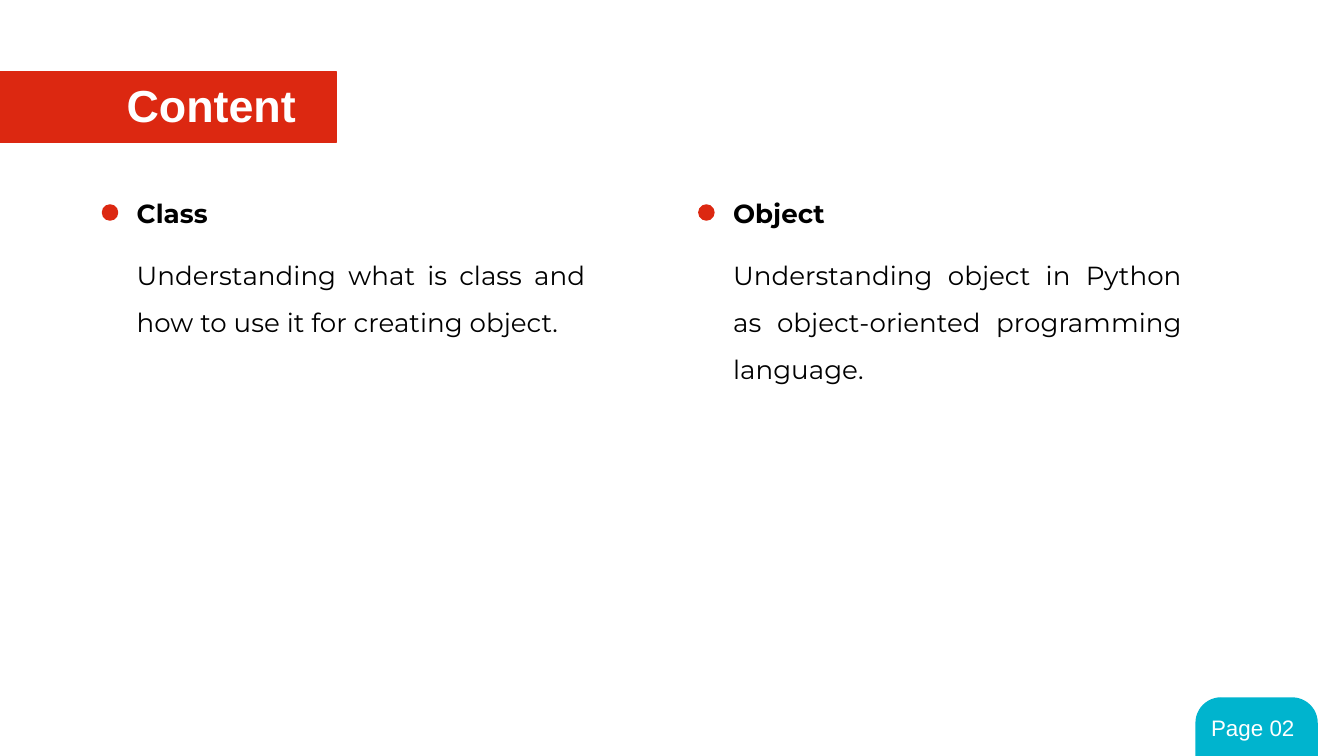
"""Build the content slide with two topics and a page tab."""
import pptx
import pptx.dml.color
import pptx.enum.shapes
import pptx.enum.text
import pptx.util

PX = 5715
SHAPE = pptx.enum.shapes.MSO_SHAPE
ALIGN = pptx.enum.text.PP_ALIGN
RGB = pptx.dml.color.RGBColor.from_string
THEME = {
    "red": RGB("DC2811"),
    "teal": RGB("00B4CE"),
    "white": RGB("FFFFFF"),
    "black": RGB("000000"),
    "display": "Arial",
    "body": "Montserrat",
    "title_size": pptx.util.Pt(24),
    "topic_size": pptx.util.Pt(14),
    "page_size": pptx.util.Pt(12),
    "outline": pptx.util.Pt(0.75),
}

deck = pptx.Presentation()
deck.slide_width, deck.slide_height = 1600 * PX, 900 * PX
slide = deck.slides.add_slide(deck.slide_layouts[6])


def add_block(preset, box, color):
    block = slide.shapes.add_shape(preset, *(PX * side for side in box))
    block.shadow.inherit = False
    block.fill.solid()
    block.fill.fore_color.rgb = block.line.color.rgb = THEME[color]
    block.line.width = THEME["outline"]
    return block


def add_words(words, box, font, size, color, bold=False, **layout):
    frame = slide.shapes.add_textbox(*(PX * side for side in box)).text_frame
    frame.word_wrap = True
    frame.auto_size = pptx.enum.text.MSO_AUTO_SIZE.SHAPE_TO_FIT_TEXT
    for side in ("left", "top", "right", "bottom"):
        setattr(frame, f"margin_{side}", 16 * PX)
    paragraph = frame.paragraphs[0]
    for name, value in layout.items():
        setattr(paragraph, name, value)
    run = paragraph.add_run()
    run.text = words
    style = {"name": THEME[font], "size": THEME[size], "bold": bold}
    for name, value in style.items():
        setattr(run.font, name, value)
    run.font.color.rgb = THEME[color]


add_block(SHAPE.RECTANGLE, (-5, 85, 405, 85), "red")
page_tab = add_block(SHAPE.ROUND_2_SAME_RECTANGLE, (1424, 831, 144, 69), "teal")
page_tab.adjustments[0] = 0.43
add_words("Page 02", (1426, 834, 170, 64), "display", "page_size", "white")
add_words("Content", (135, 77, 272, 98), "display", "title_size", "white", bold=True)

topics = [
    ("Class", 227, "Understanding what is class and how to use it for creating object.", 126),
    ("Object", 251, "Understanding object in Python as object-oriented programming language.", 182),
]
for column, (topic, topic_width, summary, summary_height) in enumerate(topics):
    left = 147 + 710 * column
    add_words(topic, (left, 219, topic_width, 70), "body", "topic_size", "black", bold=True)
    add_block(SHAPE.OVAL, (left - 25, 244, 18, 18), "red")
    add_words(summary, (left, 274, 566, summary_height), "body", "topic_size", "black",
              alignment=ALIGN.JUSTIFY, line_spacing=1.5)

deck.save("out.pptx")
